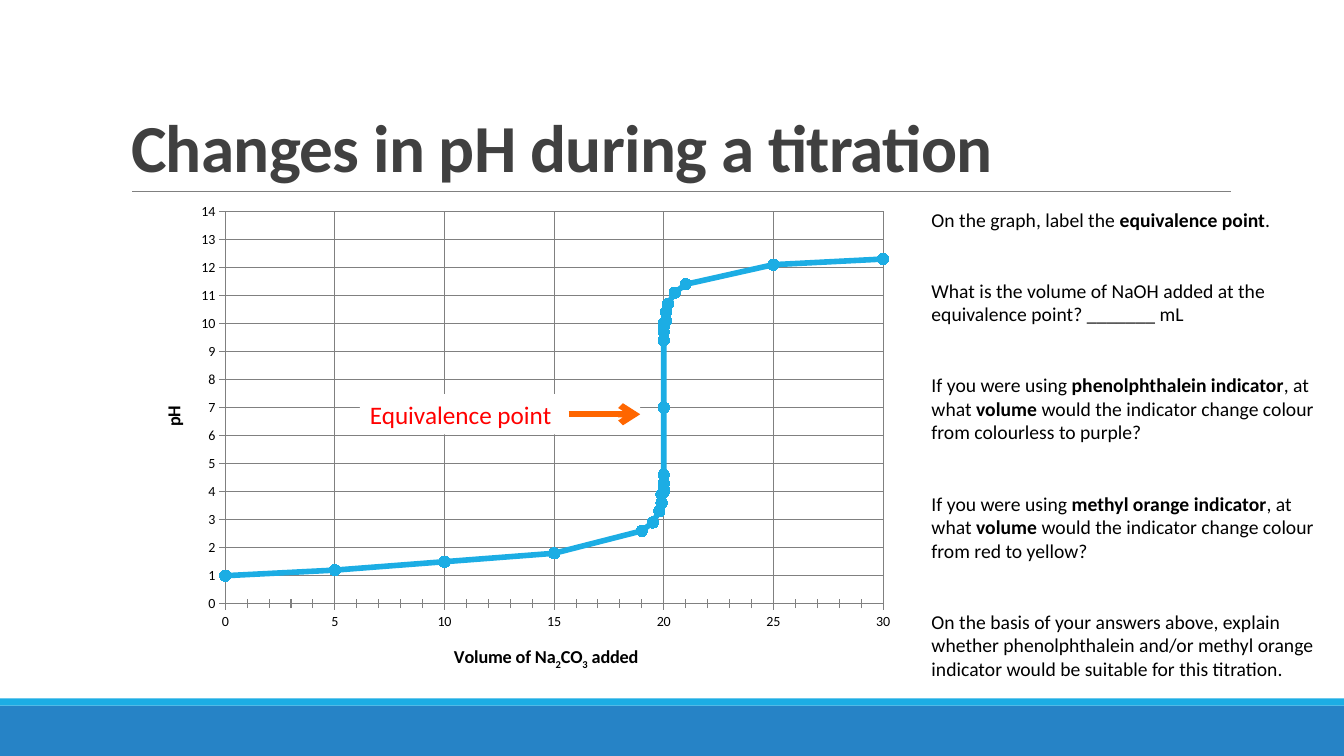
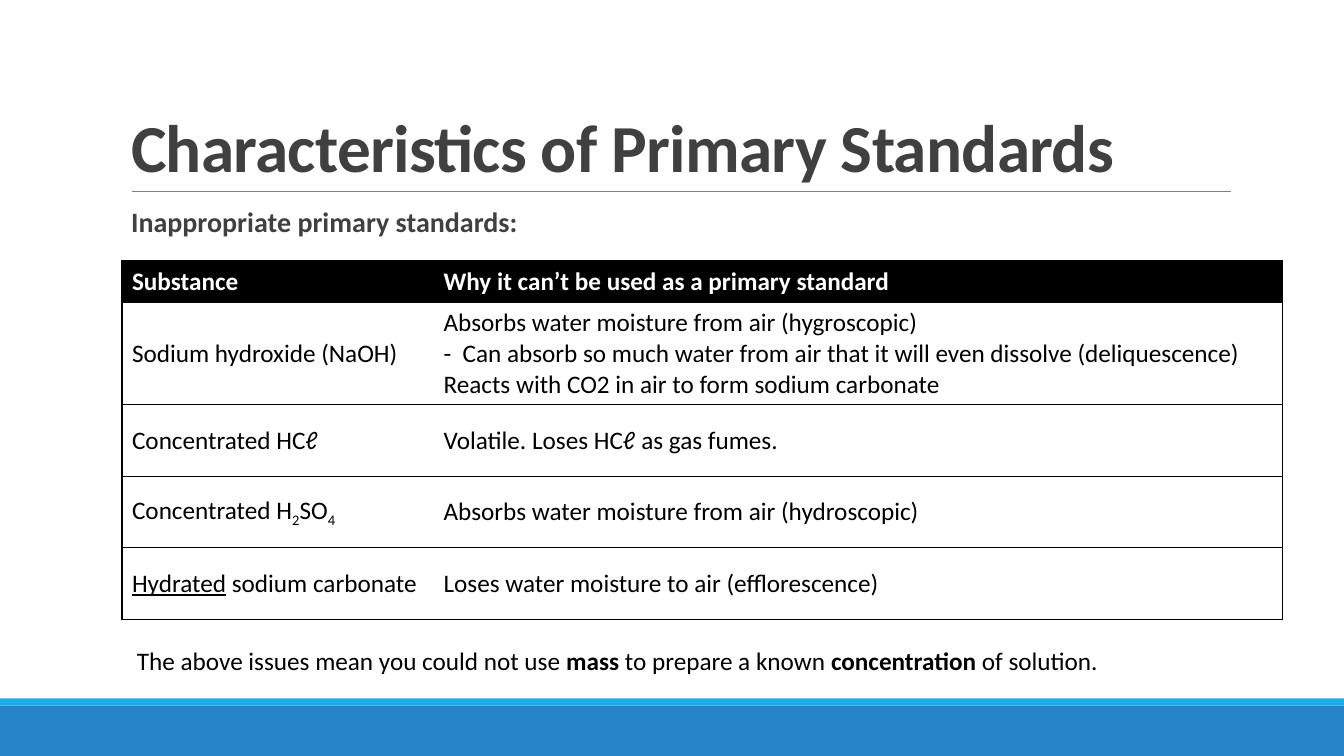
from lxml import etree
from pptx import Presentation
from pptx.chart.data import XyChartData
from pptx.dml.color import RGBColor
from pptx.enum.chart import XL_CHART_TYPE as ChartType, XL_MARKER_STYLE as MarkerStyle
from pptx.enum.chart import XL_TICK_MARK as TickMark
from pptx.enum.shapes import MSO_CONNECTOR as Connector, MSO_SHAPE as Shape
from pptx.enum.text import MSO_ANCHOR as Anchor, PP_ALIGN as Align
from pptx.oxml.ns import qn
from pptx.util import Inches, Pt

FONT = "Calibri"
BLACK = RGBColor(0x00, 0x00, 0x00)
WHITE = RGBColor(0xFF, 0xFF, 0xFF)
CHARCOAL = RGBColor(0x40, 0x40, 0x40)
GREY = RGBColor(0x80, 0x80, 0x80)
BLUE = RGBColor(0x26, 0x83, 0xC6)
CYAN = RGBColor(0x1C, 0xAD, 0xE4)
RED = RGBColor(0xFF, 0x00, 0x00)
ORANGE = RGBColor(0xFF, 0x66, 0x00)

SLIDE_WIDTH, SLIDE_HEIGHT = 13.33, 7.5
TITLE_ONLY, TITLE_AND_BODY = 5, 1

TITRATION_POINTS = [
    (0, 1), (5, 1.2), (10, 1.5), (15, 1.8), (19, 2.6), (19.5, 2.9), (19.8, 3.3),
    (19.9, 3.6), (19.9, 3.9), (20, 4), (20, 4.1), (20, 4.3), (20, 4.6), (20, 7),
    (20, 9.4), (20, 9.7), (20, 9.9), (20, 10), (20.1, 10.1), (20.1, 10.4),
    (20.2, 10.7), (20.5, 11.1), (21, 11.4), (25, 12.1), (30, 12.3),
]

# A paragraph is a list of parts: plain text, or (text, style)
QUESTIONS = [
    ["On the graph, label the ", ("equivalence point", "bold"), "."],
    ["What is the volume of NaOH added at the equivalence point? _______ mL"],
    ["If you were using ", ("phenolphthalein indicator", "bold"), ", at what ",
     ("volume", "bold"), " would the indicator change colour from colourless to purple?"],
    ["If you were using ", ("methyl orange indicator", "bold"), ", at what ",
     ("volume", "bold"), " would the indicator change colour from red to yellow?"],
    ["On the basis of your answers above, explain whether phenolphthalein and/or "
     "methyl orange indicator would be suitable for this titration."],
]

# Each cell is a list of paragraphs
STANDARDS = [
    ([["Substance"]], [["Why it can’t be used as a primary standard"]]),
    ([["Sodium hydroxide (NaOH)"]],
     [["Absorbs water moisture from air (hygroscopic)"],
      ["-  Can absorb so much water from air that it will even dissolve (deliquescence)"],
      ["Reacts with CO2 in air to form sodium carbonate"]]),
    ([["Concentrated HCℓ"]], [["Volatile. Loses HCℓ as gas fumes."]]),
    ([["Concentrated H", ("2", "subscript"), "SO", ("4", "subscript")]],
     [["Absorbs water moisture from air (hydroscopic)"]]),
    ([[("Hydrated", "underline"), " sodium carbonate"]],
     [["Loses water moisture to air (efflorescence)"]]),
]


# ---- Helpers ----
def place(shape, box):
    shape.left, shape.top, shape.width, shape.height = map(Inches, box)


def write_parts(paragraph, parts, size, color, bold=False):
    for part in parts:
        text, style = (part, None) if isinstance(part, str) else part
        run = paragraph.add_run()
        run.text = text
        font = run.font
        font.name, font.size, font.color.rgb = FONT, Pt(size), color
        font.bold = bold or style == "bold"
        if style == "underline":
            font.underline = True
        if style == "subscript":
            run._r.get_or_add_rPr().set("baseline", "-25000")


def write_paragraphs(text_frame, paragraphs, size, color, bold=False, gap=0):
    text_frame.word_wrap = True
    for index, parts in enumerate(paragraphs):
        paragraph = text_frame.add_paragraph() if index else text_frame.paragraphs[0]
        paragraph.alignment = Align.LEFT
        paragraph.space_after = Pt(gap)
        write_parts(paragraph, parts, size, color, bold)


def add_text(slide, box, paragraphs, size, gap=0):
    text_box = slide.shapes.add_textbox(*map(Inches, box))
    write_paragraphs(text_box.text_frame, paragraphs, size, BLACK, gap=gap)


def add_block(shapes, box, color):
    block = shapes.add_shape(Shape.RECTANGLE, *map(Inches, box))
    block.shadow.inherit = False
    block.fill.solid()
    block.fill.fore_color.rgb = color
    block.line.fill.background()
    return block


def add_line(shapes, left, right, y, color, width):
    line = shapes.add_connector(Connector.STRAIGHT, *map(Inches, (left, y, right, y)))
    line.line.color.rgb = color
    line.line.width = Pt(width)
    etree.SubElement(line._element.spPr, qn("a:effectLst"))
    return line


# ---- Shared slide frame: bands, rule and title ----
def add_slide(presentation, layout, title_text):
    slide = presentation.slides.add_slide(presentation.slide_layouts[layout])
    add_block(slide.shapes, (0, 7, SLIDE_WIDTH, 0.5), BLUE)
    add_block(slide.shapes, (0, 6.93, SLIDE_WIDTH, 0.07), CYAN)
    add_line(slide.shapes, 1.31, 12.21, 1.9, GREY, 0.5)

    title = slide.shapes.title
    place(title, (1.2, 0.31, 11, 1.59))
    title.text_frame.vertical_anchor = Anchor.BOTTOM
    write_paragraphs(title.text_frame, [[title_text]], 48, CHARCOAL, bold=True)
    paragraph = title.text_frame.paragraphs[0]
    paragraph.line_spacing = 0.85
    paragraph.runs[0]._r.get_or_add_rPr().set("spc", "-50")
    return slide


# ---- Titration chart ----
def set_layout(parent, position, **settings):
    layout = parent.find(qn("c:layout"))
    if layout is None:
        layout = etree.Element(qn("c:layout"))
        parent.insert(position, layout)
    manual = etree.SubElement(layout, qn("c:manualLayout"))
    for name, value in settings.items():
        etree.SubElement(manual, qn("c:" + name)).set("val", str(value))


def format_axis(axis, title_parts, maximum, step, title_x, title_y):
    axis.minimum_scale, axis.maximum_scale, axis.major_unit = 0, maximum, step
    axis.major_tick_mark = TickMark.OUTSIDE
    axis.has_major_gridlines = True
    for line in (axis.format.line, axis.major_gridlines.format.line):
        line.color.rgb = GREY
        line.width = Pt(0.75)
    axis.tick_labels.font.size = Pt(10)
    title = axis.axis_title
    write_parts(title.text_frame.paragraphs[0], title_parts, 13, BLACK, bold=True)
    set_layout(title._element, 1, xMode="edge", yMode="edge", x=title_x, y=title_y)


def add_titration_chart(slide, box):
    data = XyChartData()
    series_data = data.add_series("Series 1")
    for volume, acidity in TITRATION_POINTS:
        series_data.add_data_point(volume, acidity)
    chart = slide.shapes.add_chart(
        ChartType.XY_SCATTER_SMOOTH, *map(Inches, box), data).chart
    chart.has_legend = chart.has_title = False
    chart.font.name, chart.font.size, chart.font.color.rgb = FONT, Pt(10), BLACK
    chart.plots[0].vary_by_categories = False

    # Axes
    volume_title = ["Volume of Na", ("2", "subscript"), "CO", ("3", "subscript"), " added"]
    format_axis(chart.category_axis, volume_title, 30, 5, 0.41, 0.9)
    format_axis(chart.value_axis, ["pH"], 14, 1, 0.03, 0.42)
    chart.category_axis.minor_tick_mark = TickMark.CROSS
    minor_unit = etree.Element(qn("c:minorUnit"), val="1")
    chart.category_axis._element.find(qn("c:majorUnit")).addnext(minor_unit)
    set_layout(chart._chartSpace.chart.plotArea, 0, layoutTarget="inner",
               xMode="edge", yMode="edge", x=0.117, y=0.036, w=0.854, h=0.788)

    # Curve
    series = chart.plots[0].series[0]
    series.smooth = True
    series.format.line.color.rgb = CYAN
    series.format.line.width = Pt(4)
    marker = series.marker
    marker.style, marker.size = MarkerStyle.CIRCLE, 8
    marker.format.fill.solid()
    marker.format.fill.fore_color.rgb = CYAN
    marker.format.line.color.rgb = CYAN


def add_callout(slide, box):
    left, top, width, height = box
    group = slide.shapes.add_group_shape()
    label = add_block(group.shapes, box, WHITE)
    label.text_frame.vertical_anchor = Anchor.MIDDLE
    write_paragraphs(label.text_frame, [["Equivalence point"]], 18, RED)
    right = left + width
    arrow = add_line(group.shapes, right - 0.71, right, top + height / 2, ORANGE, 4.5)
    etree.SubElement(arrow.line._get_or_add_ln(), qn("a:tailEnd"), type="arrow")


# ---- Table of substances ----
def set_borders(cell, visible_sides):
    properties = cell._tc.get_or_add_tcPr()
    for side in "LRTB":
        border = etree.SubElement(properties, qn("a:ln" + side), w=str(Pt(1)))
        if side in visible_sides:
            fill = etree.SubElement(border, qn("a:solidFill"))
            etree.SubElement(fill, qn("a:srgbClr"), val=str(BLACK))
        else:
            etree.SubElement(border, qn("a:noFill"))


def add_standards_table(slide, box):
    table = slide.shapes.add_table(len(STANDARDS), 2, *map(Inches, box)).table
    table.horz_banding = False
    for column, width in zip(table.columns, (3.09, box[2] - 3.09)):
        column.width = Inches(width)
    for row, height in zip(table.rows, (0.41, 1.01, 0.71, 0.71, 0.71)):
        row.height = Inches(height)
    for row_index, row in enumerate(STANDARDS):
        header = row_index == 0
        for column_index, paragraphs in enumerate(row):
            cell = table.cell(row_index, column_index)
            set_borders(cell, "TB" + "LR"[column_index])
            cell.fill.solid()
            cell.fill.fore_color.rgb = BLACK if header else WHITE
            cell.vertical_anchor = Anchor.TOP if header else Anchor.MIDDLE
            write_paragraphs(cell.text_frame, paragraphs, 18,
                             WHITE if header else BLACK, bold=header)


def add_subheading(slide, box, text):
    body = slide.placeholders[1]
    place(body, box)
    text_frame = body.text_frame
    text_frame.margin_left = text_frame.margin_right = 0
    write_paragraphs(text_frame, [[text]], 20, CHARCOAL, bold=True)
    paragraph = text_frame.paragraphs[0]
    paragraph.line_spacing = 0.9
    paragraph.space_before = Pt(0)
    properties = paragraph._p.get_or_add_pPr()
    properties.set("marL", str(Inches(0.1)))
    properties.set("indent", "0")
    etree.SubElement(properties, qn("a:buNone"))


# ---- Slides ----
def build_titration_slide(presentation):
    slide = add_slide(presentation, TITLE_ONLY, "Changes in pH during a titration")
    add_titration_chart(slide, (1.34, 1.92, 7.64, 4.94))
    add_text(slide, (9.14, 2.01, 4.08, 5.05), QUESTIONS, 14, gap=34)
    add_callout(slide, (3.57, 3.91, 2.78, 0.4))


def build_standards_slide(presentation):
    slide = add_slide(presentation, TITLE_AND_BODY, "Characteristics of Primary Standards")
    add_subheading(slide, (1.2, 2.02, 11.04, 0.5), "Inappropriate primary standards:")
    add_standards_table(slide, (1.21, 2.59, 11.51, 3.55))
    conclusion = ["The above issues mean you could not use ", ("mass", "bold"),
                  " to prepare a known ", ("concentration", "bold"), " of solution."]
    add_text(slide, (1.26, 6.35, 11.7, 0.4), [conclusion], 18)


presentation = Presentation()
presentation.slide_width = Inches(SLIDE_WIDTH)
presentation.slide_height = Inches(SLIDE_HEIGHT)
build_titration_slide(presentation)
build_standards_slide(presentation)
presentation.save("out.pptx")
